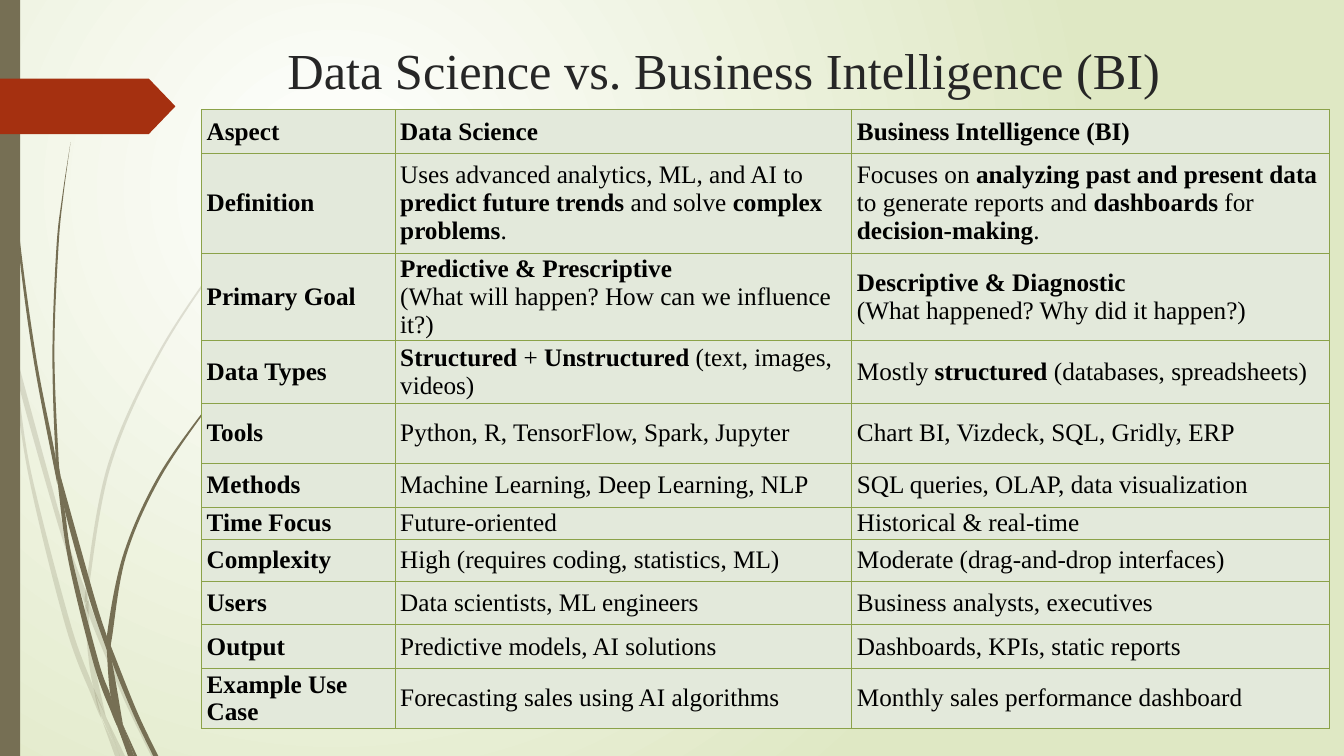
"""Build a slide that compares data science with business intelligence."""
from lxml.etree import SubElement
from pptx import Presentation
from pptx.dml.color import RGBColor
from pptx.enum.shapes import MSO_SHAPE
from pptx.enum.text import MSO_ANCHOR, MSO_AUTO_SIZE, PP_ALIGN
from pptx.oxml.ns import qn
from pptx.util import Pt

PX = 9144
FONT = "Times New Roman"
OLIVE, RUST, SAGE, MOSS = "766F54", "A53010", "E3E9DB", "8BA249"

COLUMN_WIDTHS = [192, 453, 474]
ROWS = [
    (43, "Aspect", "Data Science", "Business Intelligence (BI)"),
    (99, "Definition",
     "Uses advanced analytics, ML, and AI to **predict future trends **and solve **complex problems**.",
     "Focuses on **analyzing past and present data **to generate reports and **dashboards** for "
     "**decision-making**."),
    (87, "Primary Goal",
     "**Predictive & Prescriptive**\n(What will happen? How can we influence it?)",
     "**Descriptive & Diagnostic**\n(What happened? Why did it happen?)"),
    (62, "Data Types", "**Structured** + **Unstructured** (text, images, videos)",
     "Mostly **structured** (databases, spreadsheets)"),
    (60, "Tools", "Python, R, TensorFlow, Spark, Jupyter", "Chart BI, Vizdeck, SQL, Gridly, ERP"),
    (43, "Methods", "Machine Learning, Deep Learning, NLP", "SQL queries, OLAP, data visualization"),
    (32, "Time Focus", "Future-oriented", "Historical & real-time"),
    (42, "Complexity", "High (requires coding, statistics, ML)", "Moderate (drag-and-drop interfaces)"),
    (43, "Users", "Data scientists, ML engineers", "Business analysts, executives"),
    (43, "Output", "Predictive models, AI solutions", "Dashboards, KPIs, static reports"),
    (60, "Example Use Case", "Forecasting sales using AI algorithms",
     "Monthly sales performance dashboard"),
]

PALE_BLADES = [
    ([(0, 282), (9, 322), (11, 350)], [(0, 299), (10, 344), (11, 350)]),
    ([(14, 345), (17, 376), (58, 522), (84, 599)], [(14, 345), (62, 520), (85, 586)]),
    ([(88, 596), (88, 610), (123, 694), (150, 750)], [(88, 596), (92, 607), (127, 692), (155, 750)]),
    ([(105, 711), (119, 750)], [(105, 711), (124, 750)]),
    ([(11, 350), (28, 470), (65, 621), (92, 693), (101, 714)],
     [(11, 350), (17, 376), (31, 469), (70, 619), (93, 683), (101, 714)]),
    ([(84, 599), (87, 646), (93, 683), (105, 711)], [(84, 599), (88, 610), (91, 646), (105, 711)]),
    ([(312, 153), (268, 197), (228, 244), (158, 348), (107, 461), (85, 584), (88, 596)],
     [(312, 154), (268, 198), (229, 245), (160, 349), (110, 462), (88, 584), (88, 596)]),
    ([(101, 714), (114, 750)], [(101, 714), (119, 750)]),
    ([(85, 586), (84, 599)], [(88, 596), (88, 610)]),
    ([(93, 683), (99, 707), (119, 750)], [(93, 683), (105, 711), (119, 750)]),
]
DARK_BLADES = [
    ([(3, 0), (4, 48), (7, 110), (17, 233), (33, 355), (57, 481)],
     [(4, 0), (5, 48), (8, 109), (19, 232), (36, 355), (55, 453), (57, 481)]),
    ([(60, 472), (64, 505), (88, 592), (106, 645)], [(60, 472), (93, 590), (106, 631)]),
    ([(110, 641), (111, 656), (132, 708), (152, 750)], [(110, 641), (136, 706), (157, 750)]),
    ([(57, 477), (68, 557), (93, 659), (111, 708), (117, 722)],
     [(57, 477), (64, 505), (72, 556), (98, 657), (110, 691), (117, 722)]),
    ([(70, 141), (62, 193), (56, 245), (52, 349), (55, 449), (60, 472)],
     [(70, 141), (63, 193), (58, 245), (54, 349), (58, 453), (60, 472)]),
    ([(122, 719), (133, 750)], [(122, 719), (136, 750)]),
    ([(55, 449), (57, 477), (64, 505)], [(55, 449), (60, 472), (64, 505)]),
    ([(260, 344), (231, 373), (204, 405), (156, 474), (122, 551), (106, 631), (110, 641)],
     [(261, 344), (231, 374), (205, 406), (158, 476), (125, 552), (111, 633), (110, 641)]),
    ([(117, 722), (127, 750)], [(117, 722), (131, 750)]),
    ([(106, 645), (110, 691), (122, 719)], [(106, 645), (111, 656), (122, 719)]),
    ([(106, 631), (106, 645)], [(110, 641), (111, 656)]),
    ([(110, 691), (117, 722), (130, 750)], [(110, 691), (122, 719), (133, 750)]),
]


def px(*lengths):
    """Turn lengths in px into EMU."""
    return [round(length * PX) for length in lengths]


def color(value):
    """Turn a hex string into a colour."""
    return RGBColor.from_string(value)


def write(para, text, *, size, ink="000000", bold=False):
    """Fill a paragraph, switching weight at each pair of asterisks."""
    for index, part in enumerate(text.split("**")):
        if part:
            span = para.add_run()
            span.text = part
            span.font.name, span.font.size = FONT, Pt(size)
            span.font.bold = bold != (index % 2 == 1)
            span.font.color.rgb = color(ink)


def paint(shape, fill, opacity=100):
    """Give a shape a flat fill without line or shadow."""
    shape.shadow.inherit = False
    shape.line.fill.background()
    shape.fill.solid()
    shape.fill.fore_color.rgb = color(fill)
    if opacity < 100:
        tint = shape.fill._xPr.find(".//" + qn("a:srgbClr"))
        SubElement(tint, qn("a:alpha"), val=str(opacity * 1000))


def bend(segments, knots):
    """Turn straight segments between knots into smooth cubic curves."""
    padded = [knots[0], *knots, knots[-1]]
    for segment, a, b, c, d in zip(segments, padded, padded[1:], padded[2:], padded[3:]):
        segment.tag = qn("a:cubicBezTo")
        handles = [[p + (r - q) / 6 for p, q, r in zip(b, a, c)],
                   [p - (r - q) / 6 for p, q, r in zip(c, b, d)]]
        for index, (x, y) in enumerate(handles):
            handle = SubElement(segment, qn("a:pt"), x=str(round(x)), y=str(round(y)))
            segment.insert(index, handle)


def add_blade(page, left_edge, right_edge, opacity):
    """Draw one piece of grass between its two curved edges."""
    outline = [px(*point) for point in left_edge + right_edge[::-1]]
    builder = page.shapes.build_freeform(*outline[0], scale=1.0)
    builder.add_line_segments(outline[1:], close=True)
    blade = builder.convert_to_shape()
    left, top = blade.left, blade.top
    knots = [(x - left, y - top) for x, y in outline]
    segments = list(blade._element.iter(qn("a:lnTo")))
    turn = len(left_edge)
    bend(segments[:turn - 1], knots[:turn])
    bend(segments[turn:], knots[turn:])
    paint(blade, OLIVE, opacity)


def add_block(page, kind, left, top, width, height, fill):
    """Draw a flat preset shape and return it."""
    block = page.shapes.add_shape(kind, *px(left, top, width, height))
    paint(block, fill)
    return block


def set_background(page):
    """Give the page a round gradient from white to pale green."""
    fill = page.background.fill
    fill.gradient()
    for stop, position, value in zip(fill.gradient_stops, (0, 1), ("FFFFFF", "DFE8C4")):
        stop.position, stop.color.rgb = position, color(value)
    gradient = page._element.find(".//" + qn("a:gradFill"))
    gradient.remove(gradient.find(qn("a:lin")))
    circle = SubElement(gradient, qn("a:path"))
    circle.set("path", "circle")
    SubElement(circle, qn("a:fillToRect"), l="50000", t="50000", r="100000", b="100000")


def set_title(page, text):
    """Place and fill the title placeholder."""
    title = page.shapes.title
    title.left, title.top, title.width, title.height = px(275, 34, 975, 140)
    frame = title.text_frame
    frame.auto_size, frame.vertical_anchor = MSO_AUTO_SIZE.NONE, MSO_ANCHOR.TOP
    frame.paragraphs[0].alignment = PP_ALIGN.LEFT
    write(frame.paragraphs[0], text, size=36, ink="262626")


def fill_cell(cell, text, bold):
    """Format one table cell, its borders and its paragraphs."""
    cell.margin_left, cell.margin_top, cell.margin_right, cell.margin_bottom = px(5, 2, 5, 2)
    cell.vertical_anchor = MSO_ANCHOR.MIDDLE
    cell.fill.solid()
    cell.fill.fore_color.rgb = color(SAGE)
    properties = cell._tc.get_or_add_tcPr()
    for index, side in enumerate("LRTB"):
        border = SubElement(properties, qn("a:ln" + side), w=str(Pt(0.75)))
        SubElement(SubElement(border, qn("a:solidFill")), qn("a:srgbClr"), val=MOSS)
        properties.insert(index, border)
    frame = cell.text_frame
    for index, line in enumerate(text.split("\n")):
        para = frame.add_paragraph() if index else frame.paragraphs[0]
        write(para, line, size=18, bold=bold)


def add_comparison(page):
    """Add the comparison table with a bold first row and column."""
    place = px(200, 109, sum(COLUMN_WIDTHS), sum(row[0] for row in ROWS))
    table = page.shapes.add_table(len(ROWS), len(COLUMN_WIDTHS), *place).table
    table.first_row = table.horz_banding = False
    for column, width in zip(table.columns, px(*COLUMN_WIDTHS)):
        column.width = width
    for row_index, (row_height, *texts) in enumerate(ROWS):
        table.rows[row_index].height = px(row_height)[0]
        for column_index, text in enumerate(texts):
            fill_cell(table.cell(row_index, column_index), text, 0 in (row_index, column_index))


def main():
    """Build the deck and save it."""
    deck = Presentation()
    deck.slide_width, deck.slide_height = px(1333, 750)
    page = deck.slides.add_slide(deck.slide_layouts[5])
    set_background(page)
    for blades, opacity in ((PALE_BLADES, 20), (DARK_BLADES, 100)):
        for left_edge, right_edge in blades:
            add_blade(page, left_edge, right_edge, opacity)
    add_block(page, MSO_SHAPE.RECTANGLE, 0, 0, 20, 750, OLIVE)
    add_block(page, MSO_SHAPE.PENTAGON, 0, 78, 174, 55, RUST).adjustments[0] = 0.48
    set_title(page, "Data Science vs. Business Intelligence (BI)")
    add_comparison(page)
    deck.save("out.pptx")


if __name__ == "__main__":
    main()
